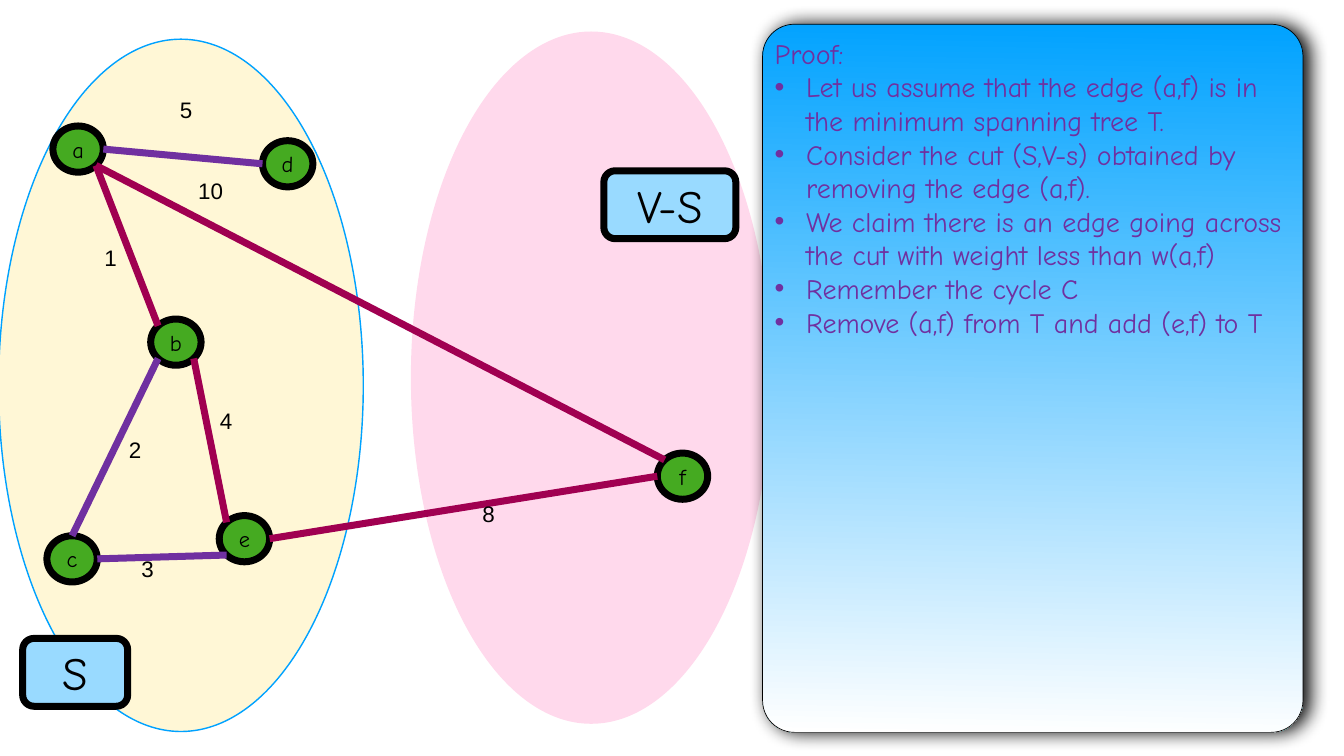
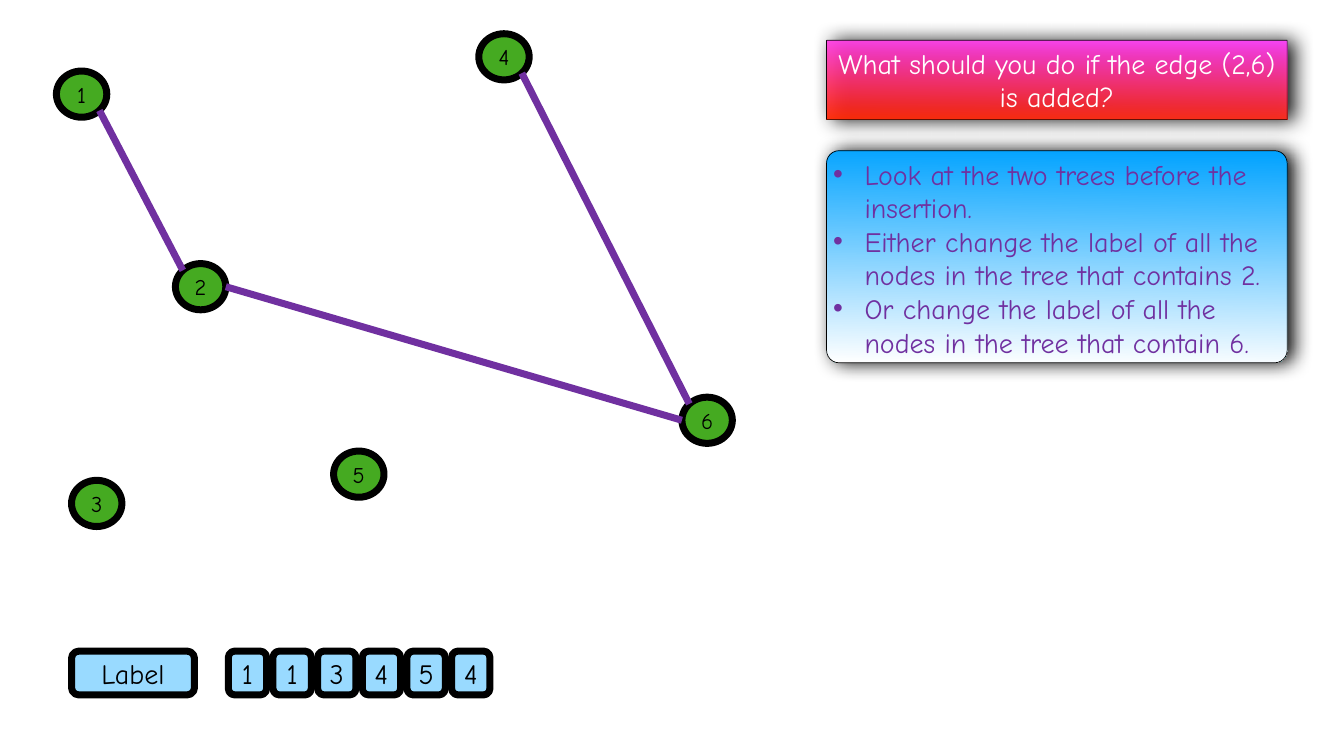
import math
from dataclasses import dataclass
from typing import Optional

import pptx
import pptx.dml.color
import pptx.enum.shapes
import pptx.enum.text
import pptx.oxml
import pptx.oxml.ns
import pptx.util
from lxml import etree

Pt = pptx.util.Pt
SHAPE = pptx.enum.shapes.MSO_SHAPE
ANCHOR = pptx.enum.text.MSO_ANCHOR
ALIGN = pptx.enum.text.PP_ALIGN
AUTOSIZE = pptx.enum.text.MSO_AUTO_SIZE
qn = pptx.oxml.ns.qn


@dataclass(frozen=True)
class Theme:
    font: str = "Comic Neue"
    weight_font: str = "Arial"
    black: str = "000000"
    white: str = "FFFFFF"
    blue: str = "00A2FF"
    pale_blue: str = "99DAFF"
    green: str = "45AA21"
    cream: str = "FFF7D6"
    rose: str = "FFD9EC"
    purple: str = "7030A0"
    crimson: str = "A00051"
    magenta: str = "FF40FF"
    red: str = "FF2600"
    small: int = 32
    body: int = 40
    large: int = 66
    thick: int = 10
    inset: int = 4
    indent: int = 45


T = Theme()
NODE_W, NODE_H = 72, 66

# Angle in degrees, clockwise from the right, of each point on a node's rim
RIM = {"right": 0, "bottom right": 45, "bottom left": 135, "left": 180,
       "top left": 225, "top": 270}


@dataclass(frozen=True)
class Box:
    left: float
    top: float
    width: float
    height: float

    def lengths(self) -> tuple:
        return tuple(Pt(v) for v in (self.left, self.top, self.width, self.height))


@dataclass(frozen=True)
class Node:
    name: str
    x: float  # centre
    y: float

    def rim(self, side: str) -> tuple:
        a = math.radians(RIM[side])
        return Pt(self.x + NODE_W / 2 * math.cos(a)), Pt(self.y + NODE_H / 2 * math.sin(a))


@dataclass(frozen=True)
class Edge:
    start: str
    start_side: str
    end: str
    end_side: str
    color: str = T.purple


@dataclass(frozen=True)
class Weight:
    text: str
    left: float
    top: float
    width: float = 39


@dataclass(frozen=True)
class Tag:
    text: str
    box: Box
    size: int


@dataclass(frozen=True)
class Panel:
    box: Box
    top_color: str
    bottom_color: str
    corner: float
    opacity: Optional[int] = None


def rgb(color: str) -> pptx.dml.color.RGBColor:
    return pptx.dml.color.RGBColor.from_string(color)


def setup_frame(tf, anchor, auto_size) -> None:
    tf.word_wrap = True
    tf.auto_size = auto_size
    tf.vertical_anchor = anchor
    tf.margin_left = tf.margin_right = tf.margin_top = tf.margin_bottom = Pt(T.inset)


def add_run(p, text: str, size: int, color: str, font: str = T.font) -> None:
    r = p.add_run()
    r.text = text
    r.font.name, r.font.size = font, Pt(size)
    r.font.color.rgb = rgb(color)


def add_solid(slide, kind, box: Box, fill: str, line: Optional[str], width: float = T.thick):
    sp = slide.shapes.add_shape(kind, *box.lengths())
    sp.shadow.inherit = False
    sp.fill.solid()
    sp.fill.fore_color.rgb = rgb(fill)
    if line:
        sp.line.color.rgb = rgb(line)
        sp.line.width = Pt(width)
    else:
        sp.line.fill.background()
    return sp


def add_labelled(slide, kind, box: Box, fill: str, text: str, size: int) -> None:
    sp = add_solid(slide, kind, box, fill, T.black)
    setup_frame(sp.text_frame, ANCHOR.MIDDLE, AUTOSIZE.SHAPE_TO_FIT_TEXT)
    p = sp.text_frame.paragraphs[0]
    p.alignment = ALIGN.CENTER
    add_run(p, text, size, T.black)


def add_tag(slide, tag: Tag) -> None:
    add_labelled(slide, SHAPE.ROUNDED_RECTANGLE, tag.box, T.pale_blue, tag.text, tag.size)


def add_graph(slide, nodes: list[Node], edges: list[Edge]) -> None:
    by_name = {n.name: n for n in nodes}
    for n in nodes:
        box = Box(n.x - NODE_W / 2, n.y - NODE_H / 2, NODE_W, NODE_H)
        add_labelled(slide, SHAPE.OVAL, box, T.green, n.name, T.small)
    for e in edges:
        cxn = slide.shapes.add_connector(
            pptx.enum.shapes.MSO_CONNECTOR.STRAIGHT,
            *by_name[e.start].rim(e.start_side), *by_name[e.end].rim(e.end_side))
        cxn.line.color.rgb = rgb(e.color)
        cxn.line.width = Pt(T.thick)
        etree.SubElement(cxn.element.spPr, qn("a:effectLst"))


def add_weight(slide, w: Weight) -> None:
    sp = slide.shapes.add_textbox(*Box(w.left, w.top, w.width, 88.6).lengths())
    setup_frame(sp.text_frame, ANCHOR.MIDDLE, AUTOSIZE.SHAPE_TO_FIT_TEXT)
    p = sp.text_frame.paragraphs[0]
    p.line_spacing, p.space_before = 0.9, Pt(45)
    add_run(p, w.text, T.small, T.black, T.weight_font)


def style_panel(sp, panel: Panel) -> None:
    """Turn a placeholder into a rounded gradient panel with a soft shadow."""
    sp.left, sp.top, sp.width, sp.height = panel.box.lengths()
    props = sp.element.spPr
    geom = etree.SubElement(props, qn("a:prstGeom"), prst="roundRect")
    guides = etree.SubElement(geom, qn("a:avLst"))
    etree.SubElement(guides, qn("a:gd"), name="adj", fmla=f"val {round(panel.corner * 100000)}")
    sp.fill.gradient()
    sp.fill.gradient_angle = 269
    for stop, color in zip(sp.fill.gradient_stops, (panel.top_color, panel.bottom_color)):
        stop.color.rgb = rgb(color)
    sp.line.color.rgb = rgb(T.black)
    sp.line.width = Pt(1)
    if panel.opacity:
        for clr in list(props.iter(qn("a:srgbClr"))):
            etree.SubElement(clr, qn("a:alpha"), val=str(panel.opacity * 1000))
    # Shadow to the right
    sp.shadow.inherit = False
    shadow = etree.SubElement(props.find(qn("a:effectLst")), qn("a:outerShdw"),
                              blurRad=str(Pt(28)), dist=str(Pt(9)), dir="0", rotWithShape="0")
    clr = etree.SubElement(shadow, qn("a:srgbClr"), val=T.black)
    etree.SubElement(clr, qn("a:alpha"), val="97000")
    # Bring to the front
    sp.element.getparent().append(sp.element)


def fill_title(sp, panel: Panel, text: str) -> None:
    style_panel(sp, panel)
    setup_frame(sp.text_frame, ANCHOR.MIDDLE, AUTOSIZE.NONE)
    p = sp.text_frame.paragraphs[0]
    p.alignment = ALIGN.CENTER
    add_run(p, text, T.body, T.white)


def fill_list(sp, panel: Panel, items: list[str], heading: Optional[str] = None) -> None:
    style_panel(sp, panel)
    tf = sp.text_frame
    setup_frame(tf, ANCHOR.TOP, AUTOSIZE.NONE)
    lines = ([heading] if heading else []) + items
    for i, text in enumerate(lines):
        p = tf.add_paragraph() if i else tf.paragraphs[0]
        p.space_before = Pt(0)
        pPr = p._p.get_or_add_pPr()
        indent = 0 if text == heading else T.indent
        pPr.set("marL", str(Pt(indent)))
        pPr.set("indent", str(Pt(-indent)))
        if indent:
            etree.SubElement(pPr, qn("a:buChar"), char="•")
        else:
            etree.SubElement(pPr, qn("a:buNone"))
        add_run(p, text, T.body, T.purple)


def build_proof(prs) -> None:
    slide = prs.slides.add_slide(prs.slide_layouts[1])
    title = slide.shapes.title.element
    title.getparent().remove(title)

    # Two sides of the cut
    add_solid(slide, SHAPE.OVAL, Box(587, 45, 515, 989), T.rose, None)
    add_solid(slide, SHAPE.OVAL, Box(-2, 56, 521, 989), T.cream, T.blue, 2)

    # Graph with the cycle in crimson
    add_graph(slide, [
        Node("a", 111.6, 213), Node("d", 411, 234), Node("b", 251.3, 488.8),
        Node("c", 103, 798.4), Node("e", 349.2, 769.6), Node("f", 975, 680.3),
    ], [
        Edge("f", "top left", "a", "bottom right", T.crimson),
        Edge("c", "top", "b", "bottom left"),
        Edge("e", "top left", "b", "bottom right", T.crimson),
        Edge("f", "left", "e", "right", T.crimson),
        Edge("b", "top left", "a", "bottom right", T.crimson),
        Edge("d", "left", "a", "right"),
        Edge("c", "right", "e", "bottom left"),
    ])
    for w in (Weight("5", 253, 115), Weight("10", 279, 231, 50.4), Weight("1", 145, 325.5),
              Weight("2", 180, 601), Weight("8", 685, 692), Weight("3", 198, 771),
              Weight("4", 310, 559)):
        add_weight(slide, w)
    add_tag(slide, Tag("S", Box(32.4, 912, 150, 97), T.large))
    add_tag(slide, Tag("V-S", Box(862.6, 244, 188.6, 97), T.large))

    # Argument
    fill_list(slide.placeholders[1],
              Panel(Box(1089.4, 34.6, 772, 1011.6), T.blue, T.white, 0.059), [
                  "Let us assume that the edge (a,f) is in the minimum spanning tree T.",
                  "Consider the cut (S,V-s) obtained by removing the edge (a,f).",
                  "We claim there is an edge going across the cut with weight less than w(a,f)",
                  "Remember the cycle C",
                  "Remove (a,f) from T and add (e,f) to T",
              ], heading="Proof:")


def build_insertion(prs) -> None:
    slide = prs.slides.add_slide(prs.slide_layouts[1])

    # Forest
    add_graph(slide, [
        Node("4", 720, 81.2), Node("2", 286.6, 409.6), Node("3", 138.2, 719.2),
        Node("5", 512.6, 677.4), Node("6", 1010.2, 600.4), Node("1", 116.6, 134.5),
    ], [
        Edge("2", "top left", "1", "bottom right"),
        Edge("6", "top left", "4", "bottom right"),
        Edge("6", "left", "2", "right"),
    ])

    # Label array
    add_tag(slide, Tag("Label", Box(102.2, 930.2, 175.7, 62.6), T.body))
    for i, label in enumerate("113454"):
        add_tag(slide, Tag(label, Box(326.2 + 63.8 * i, 930.2, 54.7, 62.6), T.body))

    # Question and answer
    fill_title(slide.shapes.title,
               Panel(Box(1180.8, 57.6, 658, 113), T.magenta, T.red, 0.017, 93),
               "What should you do if the edge (2,6) is added?")
    fill_list(slide.placeholders[1],
              Panel(Box(1180.8, 215.3, 658, 303), T.blue, T.white, 0.059), [
                  "Look at the two trees before the insertion.",
                  "Either change the label of all the nodes in the tree that contains 2.",
                  "Or change the label of all the nodes in the tree that contain 6.",
              ])


def main() -> None:
    prs = pptx.Presentation()
    prs.slide_width, prs.slide_height = Pt(1920), Pt(1080)
    build_proof(prs)
    build_insertion(prs)
    prs.save("out.pptx")


if __name__ == "__main__":
    main()
